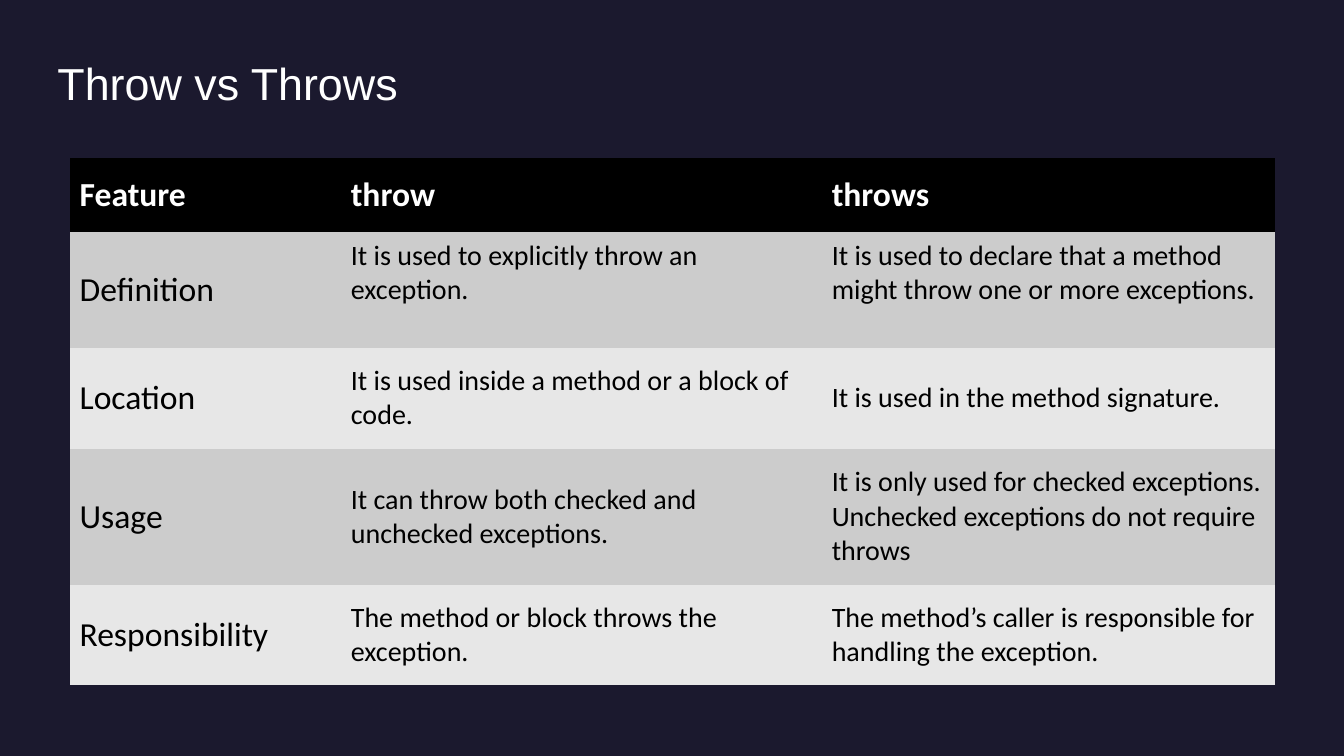
from dataclasses import dataclass

from pptx import Presentation
from pptx.dml.color import RGBColor
from pptx.enum import text
from pptx.oxml import ns
from pptx.util import Inches, Pt

COLORS = {"back": "1B192E", "header": "000000", "odd": "CCCCCC",
          "even": "E7E7E7", "light": "FFFFFF", "dark": "000000"}
COL_WIDTHS = (2.69, 4.77, 4.5)
NO_STYLE = "{2D5ABB26-0587-4C30-8999-92F81FD0307C}"


@dataclass
class Row:
    height: float
    texts: tuple[str, str, str]
    top: float = 0.15
    bottom: float = 0.15
    after: float = 7.5


ROWS = [
    Row(0.73, ("Feature", "throw", "throws"), 0.05, 0.05, 0),
    Row(1.15, ("Definition", "It is used to explicitly throw an exception.",
               "It is used to declare that a method might throw one or more exceptions."),
        0.05, 0.39, 0),
    Row(1, ("Location", "It is used inside a method or a block of code.",
            "It is used in the method signature.")),
    Row(1.35, ("Usage", "It can throw both checked and unchecked exceptions.",
               "It is only used for checked exceptions. Unchecked exceptions do not require throws")),
    Row(1, ("Responsibility", "The method or block throws the exception.",
            "The method’s caller is responsible for handling the exception.")),
]


def rgb(name: str) -> RGBColor:
    return RGBColor.from_string(COLORS[name])


def set_font(p, name: str, size: float, color: str, bold: bool = False) -> None:
    p.font.name, p.font.size, p.font.bold = name, Pt(size), bold
    p.font.color.rgb = rgb(color)


def add_title(slide, title: str) -> None:
    sp = slide.shapes.add_textbox(Inches(0.57), Inches(0.61), Inches(12.12), Inches(0.57))
    tf = sp.text_frame
    tf.word_wrap = True
    tf.margin_left = tf.margin_right = tf.margin_top = tf.margin_bottom = 0
    p = tf.paragraphs[0]
    p.text = title
    p.line_spacing = 0.9
    set_font(p, "Arial", 32, "light")


def fill_cell(cell, row: Row, i: int, j: int) -> None:
    header, label = i == 0, j == 0
    cell.fill.solid()
    cell.fill.fore_color.rgb = rgb("header" if header else "odd" if i % 2 else "even")
    cell.vertical_anchor = text.MSO_ANCHOR.MIDDLE
    p = cell.text_frame.paragraphs[0]
    p.text = row.texts[j]
    set_font(p, "Calibri", 24 if header or label else 20,
             "light" if header else "dark", header)
    if not label:
        cell.margin_top, cell.margin_bottom = Inches(row.top), Inches(row.bottom)
        p.space_after = Pt(row.after)


def add_comparison(slide, rows: list[Row]) -> None:
    frame = slide.shapes.add_table(
        len(rows), len(COL_WIDTHS), Inches(0.69), Inches(1.57),
        Inches(sum(COL_WIDTHS)), Inches(sum(row.height for row in rows)))
    table = frame.table
    # Plain table style, without borders
    frame._element.find(".//" + ns.qn("a:tableStyleId")).text = NO_STYLE
    for col, width in zip(table.columns, COL_WIDTHS):
        col.width = Inches(width)
    for i, row in enumerate(rows):
        table.rows[i].height = Inches(row.height)
        for j in range(len(COL_WIDTHS)):
            fill_cell(table.cell(i, j), row, i, j)


def main() -> None:
    prs = Presentation()
    prs.slide_width, prs.slide_height = Inches(13.33), Inches(7.5)
    slide = prs.slides.add_slide(prs.slide_layouts[6])

    # Background
    slide.background.fill.solid()
    slide.background.fill.fore_color.rgb = rgb("back")

    # Title and comparison table
    add_title(slide, "Throw vs Throws")
    add_comparison(slide, ROWS)
    prs.save("out.pptx")


if __name__ == "__main__":
    main()
